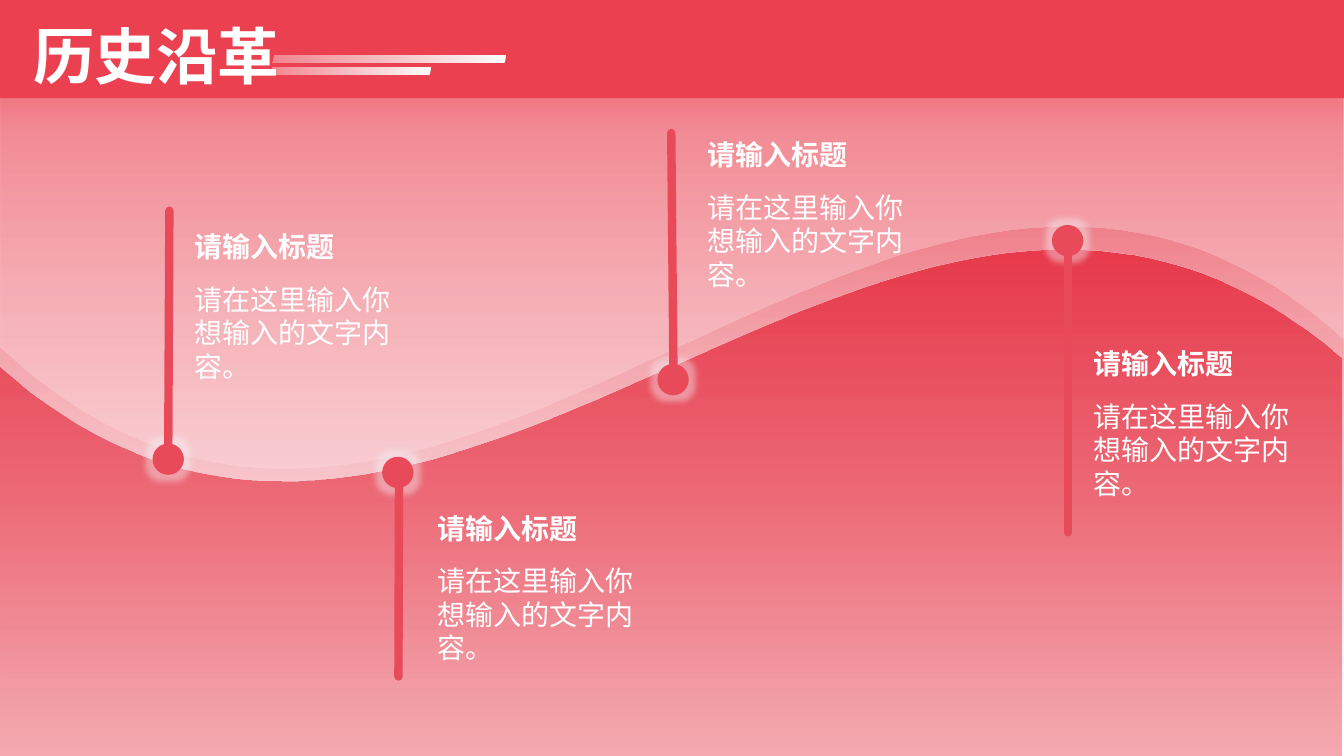
from lxml import etree
from pptx import Presentation
from pptx.dml.color import RGBColor
from pptx.enum import shapes, text
from pptx.oxml import ns
from pptx.util import Pt

# Content, with all lengths in points
TITLE = "历史沿革"
HEAD = "请输入标题"
BODY = "请在这里输入你想输入的文字内容。"
# dot centre, bar start, bar end, text corner
EVENTS = [
    ((120.2, 328), (120.2, 317), (121, 150.5), (131.6, 160.6)),
    ((284.2, 337.5), (285, 349), (284.6, 483.2), (305.3, 361.6)),
    ((480.8, 271.2), (481, 260), (479.5, 95), (498.2, 95)),
    ((762.6, 171.9), (763, 176.5), (763, 380.2), (774, 244.2)),
]
FONT = "Noto Sans CJK SC"
WHITE = RGBColor(255, 255, 255)
PALE = RGBColor(0xF6, 0xF8, 0xFC)
RED = RGBColor(0xE8, 0x4A, 0x59)
BAND = RGBColor(0xEB, 0x40, 0x4F)
ROSE = RGBColor(0xE8, 0x3C, 0x4D)
CRIMSON = RGBColor(0xE6, 0x00, 0x13)
CORAL = RGBColor(0xEA, 0x3E, 0x4E)
BLUSH = RGBColor(0xEE, 0x7C, 0x88)
PINK = RGBColor(0xEE, 0x6D, 0x79)
# gradient stops: position, colour, opacity in percent
SKY = [(0, CRIMSON, 80), (17, CORAL, 60), (71, BLUSH, 30), (100, PALE, 0)]
STREAK = [(0, WHITE, 100), (100, WHITE, 36)]
# wave: start, control points of two curves, far corner, gradient
WAVES = [
    ((0, 248), [(254.2, 484), (508.3, 161.6), (762.5, 161.6),
                (828, 161.6), (892.8, 183.2), (958.3, 241.5)],
     (960, 540), [(0, ROSE, 31), (100, WHITE, 0)]),
    ((-1.4, 261.2), [(252.7, 487.2), (506.9, 178.2), (761, 178.2),
                     (826.6, 178.2), (891.4, 199.2), (956.9, 254.7)],
     (958.3, 540.7), [(0, ROSE, 100), (100, PINK, 59)]),
]
DOT = 22.4
GAP = 37.4

prs = Presentation()
prs.slide_width, prs.slide_height = Pt(960), Pt(540)
slide = prs.slides.add_slide(prs.slide_layouts[6])
page = slide.shapes


def sub(node, tag, **attrs):
    return etree.SubElement(node, ns.qn(tag), **attrs)


def tint(node, color, alpha):
    clr = sub(node, "a:srgbClr", val=str(color))
    sub(clr, "a:alpha", val=str(alpha * 1000))


def paint(shape, fill, angle=90):
    shape.shadow.inherit = False
    shape.line.fill.background()
    if isinstance(fill, RGBColor):
        shape.fill.solid()
        shape.fill.fore_color.rgb = fill
        return
    shape.fill.gradient()
    grad = shape._element.spPr.find(ns.qn("a:gradFill"))
    for child in list(grad):
        grad.remove(child)
    stops = sub(grad, "a:gsLst")
    for pos, color, alpha in fill:
        tint(sub(stops, "a:gs", pos=str(pos * 1000)), color, alpha)
    sub(grad, "a:lin", ang=str(angle * 60000), scaled="0")


def block(kind, x, y, w, h, fill, angle=90):
    shape = page.add_shape(kind, Pt(x), Pt(y), Pt(w), Pt(h))
    paint(shape, fill, angle)
    return shape


def bend(shape, count):
    """Turn the first straight legs of an outline into curves, three by three."""
    legs = list(shape._element.iter(ns.qn("a:lnTo")))[:3 * count]
    for i in range(0, len(legs), 3):
        curve = etree.Element(ns.qn("a:cubicBezTo"))
        legs[i].addprevious(curve)
        for leg in legs[i:i + 3]:
            curve.append(leg[0])
            leg.getparent().remove(leg)


def write(words, x, y, w, h, size=20, bold=False, wrap=True):
    box = page.add_textbox(Pt(x), Pt(y), Pt(w), Pt(h))
    frame = box.text_frame
    frame.word_wrap = wrap
    frame.auto_size = text.MSO_AUTO_SIZE.SHAPE_TO_FIT_TEXT
    para = frame.paragraphs[0]
    para.line_spacing = Pt(round(1.2 * size, 1))
    run = para.add_run()
    run.text = words
    font = run.font
    font.name, font.size, font.bold = FONT, Pt(size), bold
    font.color.rgb = WHITE
    sub(run._r.get_or_add_rPr(), "a:ea", typeface=FONT)


# Backdrop and waves
block(shapes.MSO_SHAPE.RECTANGLE, 0, 0, 960.5, 540.5, SKY)
for start, curves, (right, base), fill in WAVES:
    points = curves + [(right, curves[-1][1] + 1), (right, base), (start[0], base)]
    form = page.build_freeform(Pt(start[0]), Pt(start[1]), scale=1.0)
    form.add_line_segments([(Pt(x), Pt(y)) for x, y in points], close=True)
    wave = form.convert_to_shape()
    bend(wave, 2)
    paint(wave, fill)

# Glowing dots
for (x, y), *rest in EVENTS:
    dot = block(shapes.MSO_SHAPE.OVAL, x - DOT / 2, y - DOT / 2, DOT, DOT, RED)
    effects = dot._element.spPr.find(ns.qn("a:effectLst"))
    tint(sub(effects, "a:glow", rad=str(Pt(9))), PALE, 40)

# Bars and captions
for dot, start, end, (x, y) in EVENTS:
    bar = page.add_connector(shapes.MSO_CONNECTOR.STRAIGHT,
                             *(Pt(v) for v in start + end))
    bar.line.color.rgb = RED
    bar.line.width = Pt(6)
    bar.line._get_or_add_ln().set("cap", "rnd")
    sub(bar._element.spPr, "a:effectLst")
    write(HEAD, x, y, 159, 31.7, bold=True)
    write(BODY, x, y + GAP, 164, 80)

# Title band
block(shapes.MSO_SHAPE.RECTANGLE, -1.4, -1.4, 962, 71.6, BAND)
write(TITLE, 16.6, 9.4, 191, 60.5, size=44, bold=True, wrap=False)
for x, y, w in [(195, 39.4, 166), (193, 48.2, 114.5)]:
    block(shapes.MSO_SHAPE.PARALLELOGRAM, x, y, w, 5, STREAK, 190)

prs.save("out.pptx")
